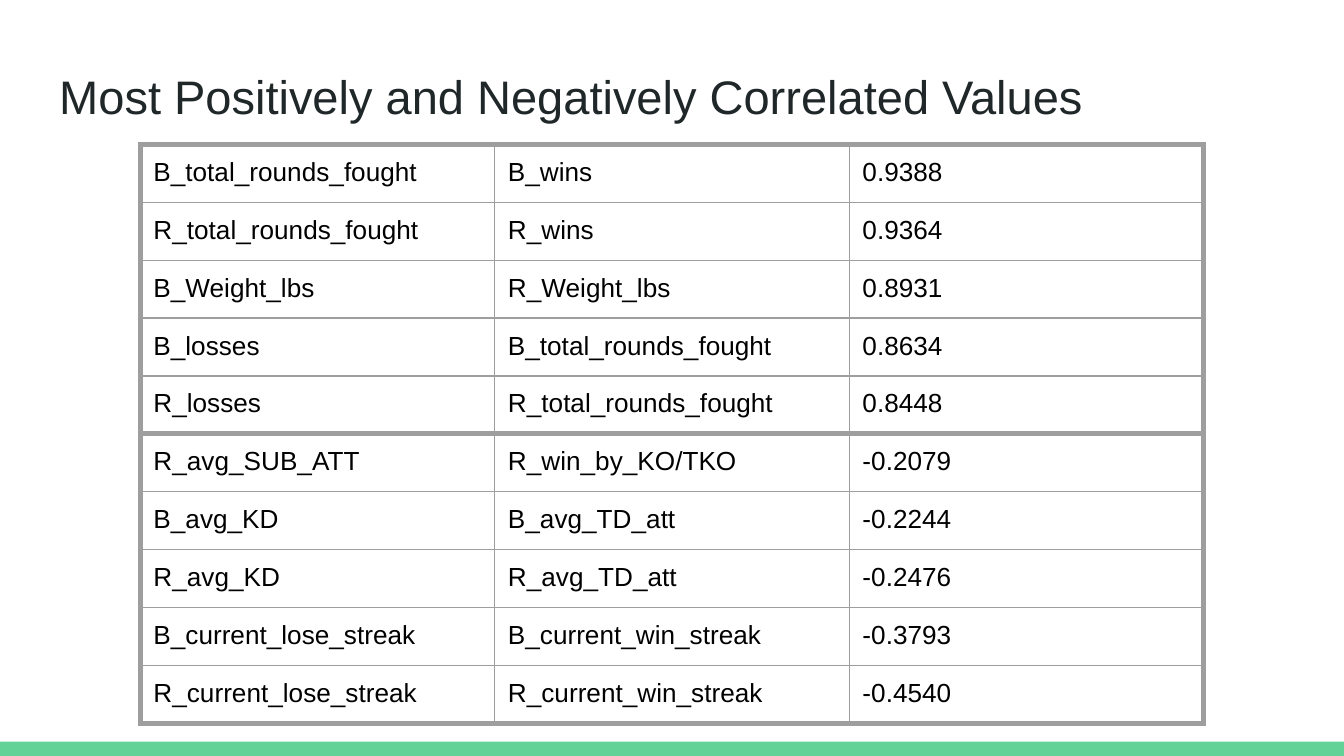
from lxml import etree
from pptx import Presentation
from pptx.dml.color import RGBColor
from pptx.enum.shapes import MSO_SHAPE
from pptx.enum.text import MSO_ANCHOR
from pptx.oxml.ns import qn
from pptx.util import Cm, Pt

RECTANGLE = MSO_SHAPE.RECTANGLE
BOTTOM = MSO_ANCHOR.BOTTOM

GREEN = RGBColor(0x63, 0xD2, 0x97)
INK = RGBColor(0x20, 0x27, 0x29)
BLACK = RGBColor(0, 0, 0)
GREY = RGBColor(0x9E, 0x9E, 0x9E)

FONT = "Arial"
INSET = Cm(0.25)
THIN, THICK = Pt(0.75), Pt(3)

POSITIVE = [
    ("B_total_rounds_fought", "B_wins", "0.9388"),
    ("R_total_rounds_fought", "R_wins", "0.9364"),
    ("B_Weight_lbs", "R_Weight_lbs", "0.8931"),
    ("B_losses", "B_total_rounds_fought", "0.8634"),
    ("R_losses", "R_total_rounds_fought", "0.8448"),
]
NEGATIVE = [
    ("R_avg_SUB_ATT", "R_win_by_KO/TKO", "-0.2079"),
    ("B_avg_KD", "B_avg_TD_att", "-0.2244"),
    ("R_avg_KD", "R_avg_TD_att", "-0.2476"),
    ("B_current_lose_streak", "B_current_win_streak", "-0.3793"),
    ("R_current_lose_streak", "R_current_win_streak", "-0.4540"),
]


def set_insets(holder):
    """Give a cell or text frame the same margin on all sides."""
    holder.margin_left = holder.margin_right = INSET
    holder.margin_top = holder.margin_bottom = INSET


def style_text(para, size, color):
    for span in para.runs:
        span.font.name = FONT
        span.font.size = Pt(size)
        span.font.color.rgb = color


def add_footer_bar(page, left, top, width, height):
    bar = page.shapes.add_shape(RECTANGLE, left, top, width, height)
    bar.shadow.inherit = False
    bar.fill.solid()
    bar.fill.fore_color.rgb = GREEN
    bar.line.fill.background()


def add_title(page, left, top, width, height):
    frame = page.shapes.add_textbox(left, top, width, height).text_frame
    frame.word_wrap = True
    frame.vertical_anchor = BOTTOM
    set_insets(frame)
    frame.text = "Most Positively and Negatively Correlated Values"
    style_text(frame.paragraphs[0], 25.2, INK)


def set_borders(cell, widths):
    """Draw the cell's borders; widths are left, right, top and bottom."""
    properties = cell._tc.get_or_add_tcPr()
    for side, width in zip("LRTB", widths):
        line = etree.SubElement(properties, qn(f"a:ln{side}"), w=str(width))
        fill = etree.SubElement(line, qn("a:solidFill"))
        etree.SubElement(fill, qn("a:srgbClr"), val=str(GREY))


def add_correlation_table(page, left, top, width, height):
    """Place both groups of rows, each framed by thick borders."""
    rows = POSITIVE + NEGATIVE
    column_count = len(rows[0])
    table = page.shapes.add_table(
        len(rows), column_count, left, top, width, height).table
    table.first_row = False
    table.horz_banding = False
    group_starts = (0, len(POSITIVE))
    group_ends = (len(POSITIVE) - 1, len(rows) - 1)
    for r, values in enumerate(rows):
        for c, value in enumerate(values):
            cell = table.cell(r, c)
            set_insets(cell)
            cell.text = value
            style_text(cell.text_frame.paragraphs[0], 14, BLACK)
            on_edge = (c == 0, c == column_count - 1,
                       r in group_starts, r in group_ends)
            set_borders(cell, [THICK if edge else THIN for edge in on_edge])
            cell.fill.background()


def main():
    deck = Presentation()
    deck.slide_width, deck.slide_height = Cm(25.4), Cm(14.29)
    page = deck.slides.add_slide(deck.slide_layouts[6])
    add_footer_bar(page, 0, Cm(14.02), deck.slide_width, Cm(0.27))
    add_title(page, Cm(0.87), Cm(0.99), Cm(23.67), Cm(1.6))
    add_correlation_table(page, Cm(2.65), Cm(2.73), Cm(20.1), Cm(10.6))
    deck.save("out.pptx")


if __name__ == "__main__":
    main()
